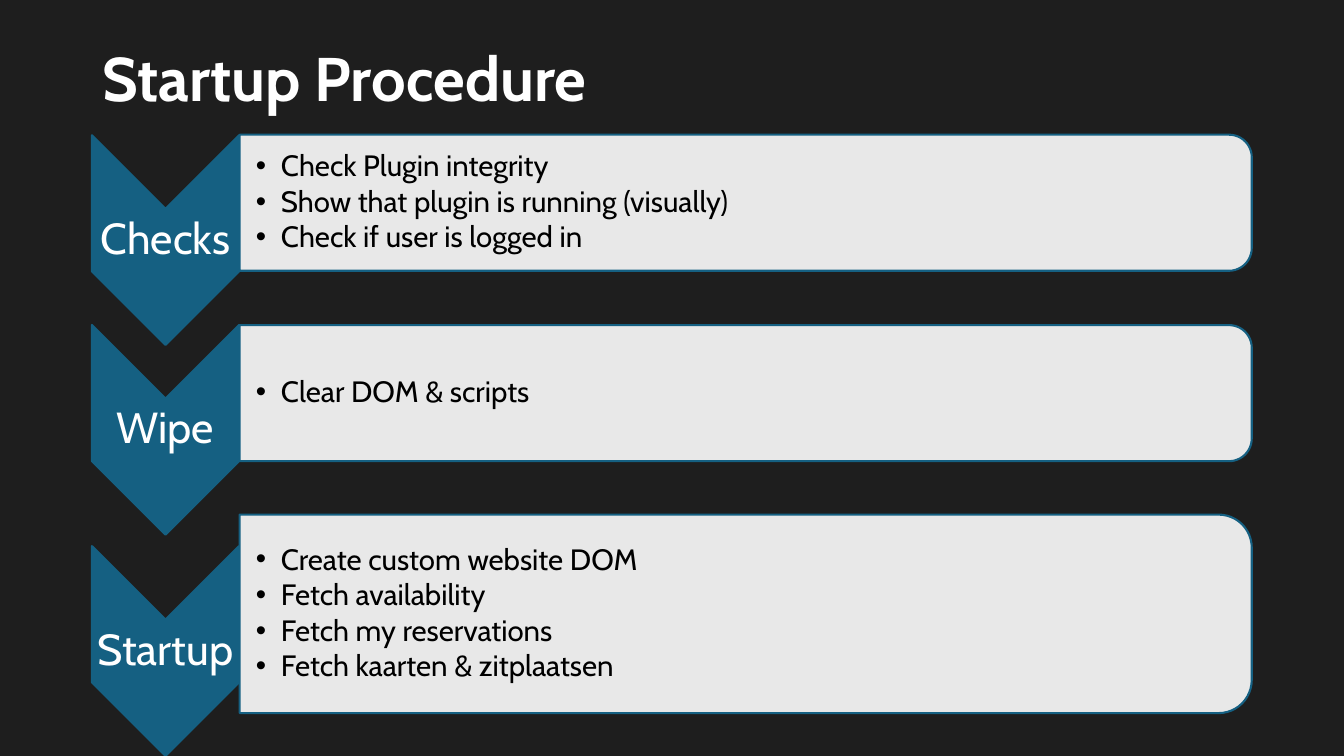
"""Build the Startup Procedure slide with three chevron steps."""
from lxml.etree import SubElement
from pptx import Presentation
from pptx.dml.color import RGBColor
from pptx.enum.shapes import MSO_SHAPE
from pptx.enum.text import MSO_ANCHOR, PP_ALIGN
from pptx.oxml.ns import qn
from pptx.util import Pt

BLUE = "156082"
WHITE = "FFFFFF"
CHEVRON_CENTER, CHEVRON_WIDTH, CHEVRON_HEIGHT = 118.2, 105.1, 149.8
PANEL_LEFT, PANEL_WIDTH = 171.2, 722.9
STEPS = [
    ("Checks", 171.5, 144.8, 97.2, [
        "Check Plugin integrity",
        "Show that plugin is running (visually)",
        "Check if user is logged in",
    ]),
    ("Wipe", 307, 280.8, 97.2, ["Clear DOM & scripts"]),
    ("Startup", 465, 438.5, 141.8, [
        "Create custom website DOM",
        "Fetch availability",
        "Fetch my reservations",
        "Fetch kaarten & zitplaatsen",
    ]),
]


def add_turned_shape(kind, center_x, center_y, width, height, color):
    """Add a preset shape turned by 90 degrees; width and height are as seen."""
    shape = page.shapes.add_shape(
        kind, Pt(center_x - height / 2), Pt(center_y - width / 2), Pt(height), Pt(width))
    shape.rotation = 90
    shape.shadow.inherit = False
    shape.fill.solid()
    shape.fill.fore_color.rgb = RGBColor.from_string(color)
    shape.line.color.rgb = RGBColor.from_string(BLUE)
    shape.line.width = Pt(1.5)
    return shape


def write(frame, lines, size, color, bold=False, align=PP_ALIGN.LEFT, bullet=False, after=0):
    """Fill a text frame with one formatted paragraph for each line."""
    frame.word_wrap = True
    frame.vertical_anchor = MSO_ANCHOR.MIDDLE
    for number, line in enumerate(lines):
        para = frame.add_paragraph() if number else frame.paragraphs[0]
        para.alignment = align
        para.line_spacing = 0.9
        para.space_before = Pt(0)
        para.space_after = Pt(after)
        if bullet:
            properties = para._p.get_or_add_pPr()
            properties.set("marL", str(Pt(18)))
            properties.set("indent", str(Pt(-18)))
            SubElement(properties, qn("a:buFont"), typeface="Arial")
            SubElement(properties, qn("a:buChar"), char="•")
        span = para.add_run()
        span.text = line
        span.font.name = "Cabin"
        span.font.size = Pt(size)
        span.font.bold = bold
        span.font.color.rgb = RGBColor.from_string(color)


deck = Presentation()
deck.slide_width, deck.slide_height = Pt(960), Pt(540)
page = deck.slides.add_slide(deck.slide_layouts[5])
page.background.fill.solid()
page.background.fill.fore_color.rgb = RGBColor.from_string("1E1E1E")

title = page.shapes.title
title.left, title.top, title.width, title.height = Pt(66), Pt(0.7), Pt(828), Pt(114.5)
write(title.text_frame, ["Startup Procedure"], 44, WHITE, bold=True)

for name, chevron_y, panel_y, panel_height, tasks in STEPS:
    add_turned_shape(MSO_SHAPE.CHEVRON, CHEVRON_CENTER, chevron_y,
                     CHEVRON_WIDTH, CHEVRON_HEIGHT, BLUE)
    label = page.shapes.add_textbox(
        Pt(CHEVRON_CENTER - CHEVRON_WIDTH / 2), Pt(chevron_y - 22.5), Pt(CHEVRON_WIDTH), Pt(45))
    frame = label.text_frame
    frame.margin_left = frame.margin_right = frame.margin_top = frame.margin_bottom = Pt(1.5)
    write(frame, [name], 31, WHITE, align=PP_ALIGN.CENTER)

    panel = add_turned_shape(MSO_SHAPE.ROUND_2_SAME_RECTANGLE, PANEL_LEFT + PANEL_WIDTH / 2,
                             panel_y, PANEL_WIDTH, panel_height, WHITE)
    panel_color = panel.fill._xPr.find(qn("a:solidFill"))[0]
    SubElement(panel_color, qn("a:alpha"), val="90000")
    text_height = panel_height - 10
    box = page.shapes.add_textbox(
        Pt(PANEL_LEFT), Pt(panel_y - text_height / 2), Pt(PANEL_WIDTH - 5), Pt(text_height))
    frame = box.text_frame
    frame.margin_left = Pt(11.5)
    frame.margin_right = frame.margin_top = frame.margin_bottom = Pt(1)
    write(frame, tasks, 21, "000000", bullet=True, after=2.7)

deck.save("out.pptx")
